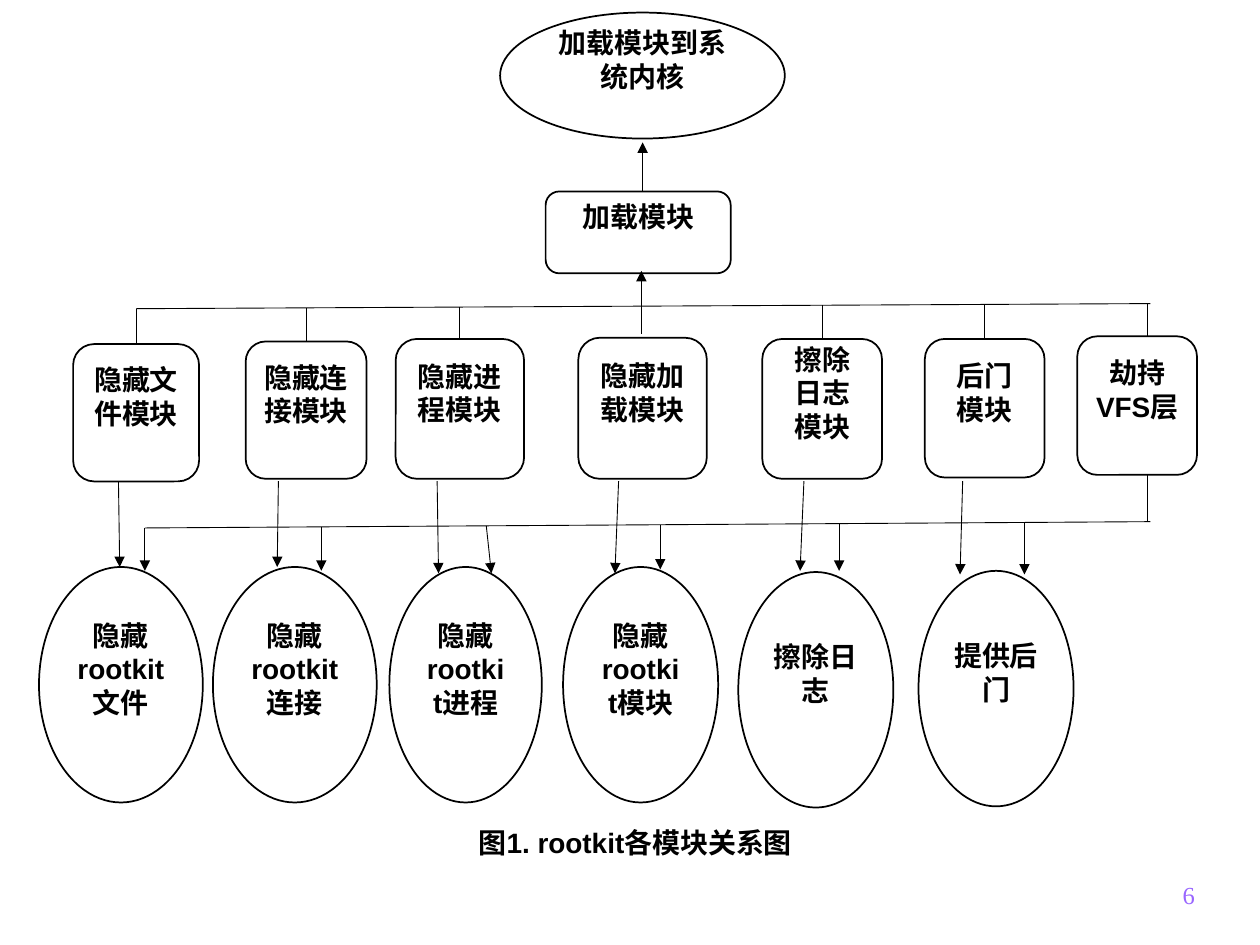
from lxml.etree import SubElement
from pptx import Presentation
from pptx.dml.color import RGBColor
from pptx.enum.shapes import MSO_CONNECTOR, MSO_SHAPE
from pptx.enum.text import MSO_ANCHOR, PP_ALIGN
from pptx.oxml.ns import qn
from pptx.util import Pt

BLACK = RGBColor(0x00, 0x00, 0x00)
WHITE = RGBColor(0xFF, 0xFF, 0xFF)
PURPLE = RGBColor(0x99, 0x66, 0xFF)

# Text, left, top, width, height
MODULES = [
    ("隐藏文件模块", 41.8, 196.6, 72, 78.5),
    ("隐藏连接模块", 140.4, 195.1, 69.1, 78.5),
    ("隐藏进程模块", 226.1, 193.7, 73.4, 79.9),
    ("隐藏加载模块", 330.5, 193, 73.4, 80.6),
    ("擦除日志模块", 435.6, 193.7, 68.4, 79.9),
    ("后门模块", 528.5, 193.7, 68.4, 79.2),
    ("劫持VFS层", 615.6, 192.2, 68.4, 79.2),
]
# Text, left, top, width
RESULTS = [
    ("隐藏rootkit文件", 22.3, 324, 93.6),
    ("隐藏rootkit连接", 121.7, 324, 93.6),
    ("隐藏rootkit进程", 222.5, 324, 87.1),
    ("隐藏rootkit模块", 321.8, 324, 88.6),
    ("擦除日志", 421.9, 326.9, 88.6),
    ("提供后门", 524.9, 326.2, 88.6),
]
RESULT_HEIGHT = 134.6
# Module arrows: start x, end x, end y
MODULE_ARROWS = [
    (67.7, 68.4, 324), (159.1, 158.4, 324), (249.8, 250.6, 327.6),
    (353.5, 351.4, 327.6), (459.4, 457.2, 326.2), (550.1, 548.6, 328.3),
]
MODULE_ARROW_TOP = 275
# Arrows from the lower rail: start x, end x, end y
RAIL_ARROWS = [
    (82.8, 82.8, 326.2), (183.6, 183.6, 326.2), (277.9, 280.8, 327.6),
    (377.3, 377.3, 325.4), (479.5, 479.5, 326.2), (585.4, 585.4, 328.3),
]
# Rails: start x, start y, end x, end y
UPPER_RAIL = (77.8, 176.4, 657.4, 173.5)
LOWER_RAIL = (82.8, 301.7, 657.4, 298.1)
VFS_LINE_X = 655.9


def format_text(text_frame, text, size=16, color=BLACK, font="Arial", bold=True,
                alignment=PP_ALIGN.CENTER):
    text_frame.word_wrap = True
    text_frame.text = text
    paragraph = text_frame.paragraphs[0]
    paragraph.alignment = alignment
    run_font = paragraph.runs[0].font
    run_font.name, run_font.size, run_font.bold = font, Pt(size), bold
    run_font.color.rgb = color


def add_node(slide, kind, text, left, top, width, height):
    """Add an outlined shape whose text sits a little above the middle."""
    shape = slide.shapes.add_shape(kind, Pt(left), Pt(top), Pt(width), Pt(height))
    shape.shadow.inherit = False
    shape.fill.solid()
    shape.fill.fore_color.rgb = WHITE
    shape.line.color.rgb = BLACK
    shape.line.width = Pt(1)
    shape.text_frame.vertical_anchor = MSO_ANCHOR.MIDDLE
    shape.text_frame.margin_bottom = Pt(22)
    format_text(shape.text_frame, text)
    return shape


def add_line(slide, x1, y1, x2, y2, arrow=False):
    connector = slide.shapes.add_connector(
        MSO_CONNECTOR.STRAIGHT, Pt(x1), Pt(y1), Pt(x2), Pt(y2))
    connector.line.color.rgb = BLACK
    connector.line.width = Pt(0.5)
    if arrow:
        SubElement(connector.line._get_or_add_ln(), qn("a:tailEnd"), type="triangle")
    SubElement(connector._element.spPr, qn("a:effectLst"))
    return connector


def add_label(slide, text, left, top, width, height, **text_format):
    box = slide.shapes.add_textbox(Pt(left), Pt(top), Pt(width), Pt(height))
    format_text(box.text_frame, text, **text_format)
    return box


def rail_y(rail, x):
    """Height of a slightly sloping rail at x."""
    x1, y1, x2, y2 = rail
    return round(y1 + (y2 - y1) * (x - x1) / (x2 - x1), 2)


def add_upper_links(slide, modules):
    add_line(slide, *UPPER_RAIL)
    for index, (module, (_, left, top, width, _)) in enumerate(zip(modules, MODULES)):
        # The loading module has an arrow of its own; VFS hangs off centre
        if index in (3, 6):
            continue
        center = left + width / 2
        stub = add_line(slide, center, top, center, rail_y(UPPER_RAIL, center))
        stub.begin_connect(module, 0)
    add_line(slide, VFS_LINE_X, 192.2, VFS_LINE_X, rail_y(UPPER_RAIL, VFS_LINE_X))


def add_lower_links(slide):
    add_line(slide, *LOWER_RAIL)
    add_line(slide, VFS_LINE_X, 271.4, VFS_LINE_X, rail_y(LOWER_RAIL, VFS_LINE_X))
    for start_x, end_x, end_y in MODULE_ARROWS:
        add_line(slide, start_x, MODULE_ARROW_TOP, end_x, end_y, arrow=True)
    for start_x, end_x, end_y in RAIL_ARROWS:
        add_line(slide, start_x, rail_y(LOWER_RAIL, start_x), end_x, end_y, arrow=True)


def main():
    presentation = Presentation()
    presentation.slide_width, presentation.slide_height = Pt(720), Pt(540)
    slide = presentation.slides.add_slide(presentation.slide_layouts[6])

    # Kernel and loader
    add_node(slide, MSO_SHAPE.OVAL, "加载模块到系统内核", 285.8, 7.2, 162.7, 72)
    add_node(slide, MSO_SHAPE.ROUNDED_RECTANGLE, "加载模块", 311.8, 109.4, 105.8, 46.8)

    # Modules and what they provide
    modules = [add_node(slide, MSO_SHAPE.ROUNDED_RECTANGLE, *module) for module in MODULES]
    for result in RESULTS:
        add_node(slide, MSO_SHAPE.OVAL, *result, RESULT_HEIGHT)

    # Links
    add_line(slide, 367.2, 109.4, 367.2, 81.4, arrow=True)
    add_line(slide, 366.5, 190.8, 366.5, 154.8, arrow=True)
    add_upper_links(slide, modules)
    add_lower_links(slide)

    # Caption and page number
    add_label(slide, "图1. rootkit各模块关系图", 266.4, 468, 221.8, 28.8,
              alignment=PP_ALIGN.LEFT)
    number = add_label(slide, "6", 540, 491.8, 149.8, 38.9, size=14, color=PURPLE,
                       font="Times New Roman", bold=False, alignment=PP_ALIGN.RIGHT)
    number.text_frame.vertical_anchor = MSO_ANCHOR.MIDDLE

    presentation.save("out.pptx")


if __name__ == "__main__":
    main()
